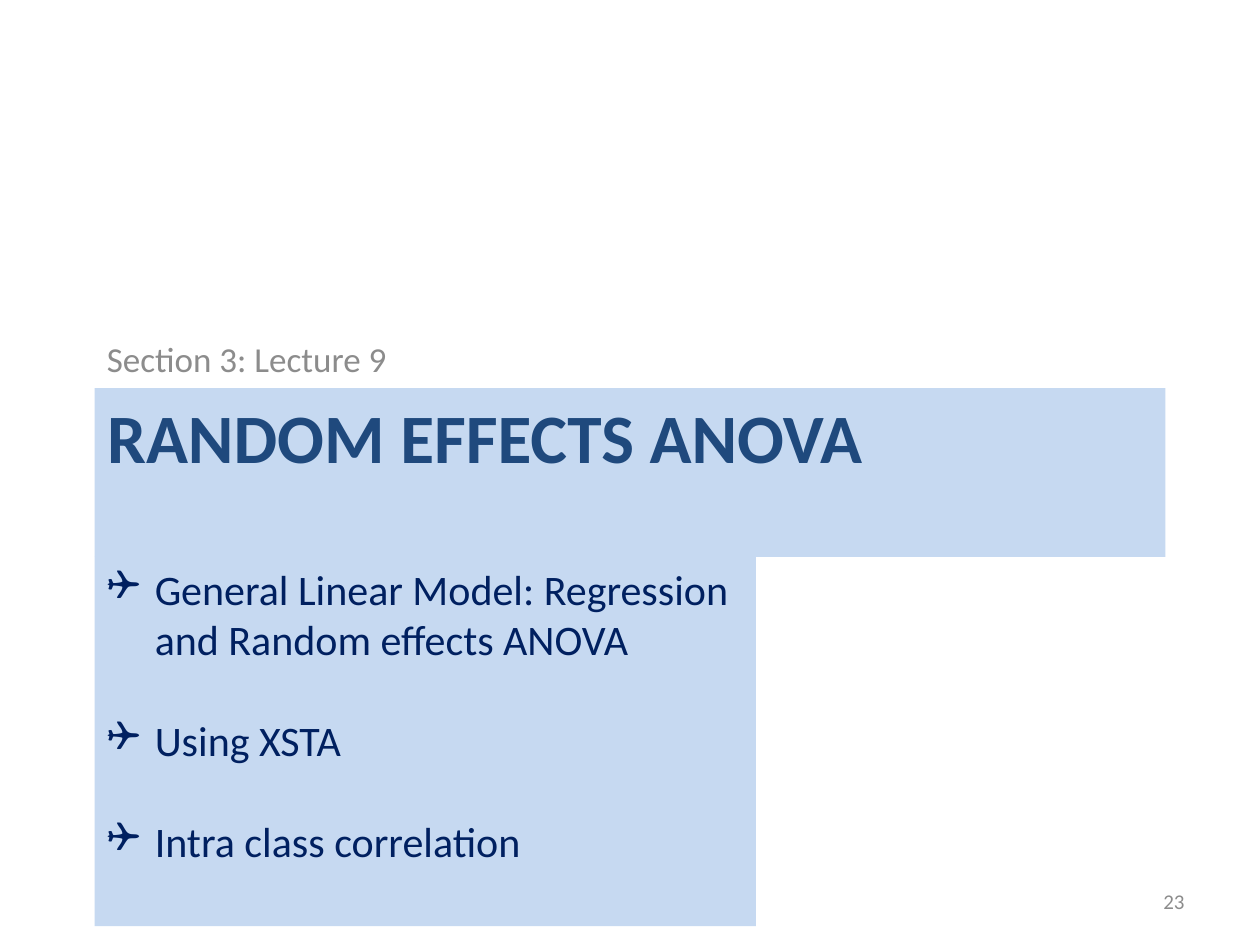
"""Build the section slide for the lecture on random effects ANOVA."""
from pptx import Presentation
from pptx.dml.color import RGBColor as Rgb
from pptx.enum.text import MSO_ANCHOR as Anchor, MSO_AUTO_SIZE as Fit, PP_ALIGN as Align
from pptx.oxml.ns import qn
from pptx.util import Inches, Pt
from lxml.etree import SubElement as Sub

TITLE = ["RANDOM EFFECTS ANOVA"]
LABEL = ["Section 3: Lecture 9"]
TOPICS = [
    "General Linear Model: Regression and Random effects ANOVA",
    "Using XSTA",
    "Intra class correlation",
]
PAGE = ["23"]

THEME = {
    "panel": Rgb.from_string("C6D9F1"),
    "title": {"size": Pt(39.6), "bold": True, "color": "1F497D"},
    "label": {"size": Pt(20), "bold": False, "color": "8C8C8C"},
    "topic": {"size": Pt(24), "bold": False, "color": "002060"},
    "page": {"size": Pt(12), "bold": False, "color": "8C8C8C"},
    "font": "Calibri",
}
LEFT, SPLIT = 0.75, 4.42
INDENT, GAP = Inches(0.38), Pt(29)


def place(shape, left, top, width, height):
    box = {"left": left, "top": top, "width": width, "height": height}
    for key, size in box.items():
        setattr(shape, key, Inches(size))


def paint(shape):
    shape.fill.solid()
    shape.fill.fore_color.rgb = THEME["panel"]


def mark(para):
    props = para._p.get_or_add_pPr()
    props.set("marL", str(INDENT))
    props.set("indent", str(-INDENT))
    Sub(props, qn("a:buFont")).set("typeface", "Wingdings")
    Sub(props, qn("a:buChar")).set("char", "❑")


def write(shape, lines, style, anchor=Anchor.TOP, align=Align.LEFT, bullet=False):
    frame = shape.text_frame
    form = {"word_wrap": True, "auto_size": Fit.NONE, "vertical_anchor": anchor}
    for key, val in form.items():
        setattr(frame, key, val)
    look = THEME[style]
    for num, line in enumerate(lines):
        para = frame.add_paragraph() if num else frame.paragraphs[0]
        para.alignment = align
        para.space_before = GAP if num else Pt(0)
        if bullet:
            mark(para)
        run = para.add_run()
        run.text = line
        font = {"name": THEME["font"], "size": look["size"], "bold": look["bold"]}
        for key, val in font.items():
            setattr(run.font, key, val)
        run.font.color.rgb = Rgb.from_string(look["color"])


def main():
    deck = Presentation()
    deck.slide_width, deck.slide_height = Inches(10), Inches(7.5)
    slide = deck.slides.add_slide(deck.slide_layouts[5])

    title = slide.shapes.title
    place(title, LEFT, 3.08, 8.5, SPLIT - 3.08)
    paint(title)
    write(title, TITLE, "title")

    def add(*box):
        return slide.shapes.add_textbox(*map(Inches, box))

    write(add(LEFT, 1.42, 8.5, 1.64), LABEL, "label", Anchor.BOTTOM)
    topics = add(LEFT, SPLIT, 5.25, 2.93)
    paint(topics)
    write(topics, TOPICS, "topic", bullet=True)
    write(add(7.17, 6.95, 2.33, 0.4), PAGE, "page", Anchor.MIDDLE, Align.RIGHT)

    deck.save("out.pptx")


if __name__ == "__main__":
    main()
